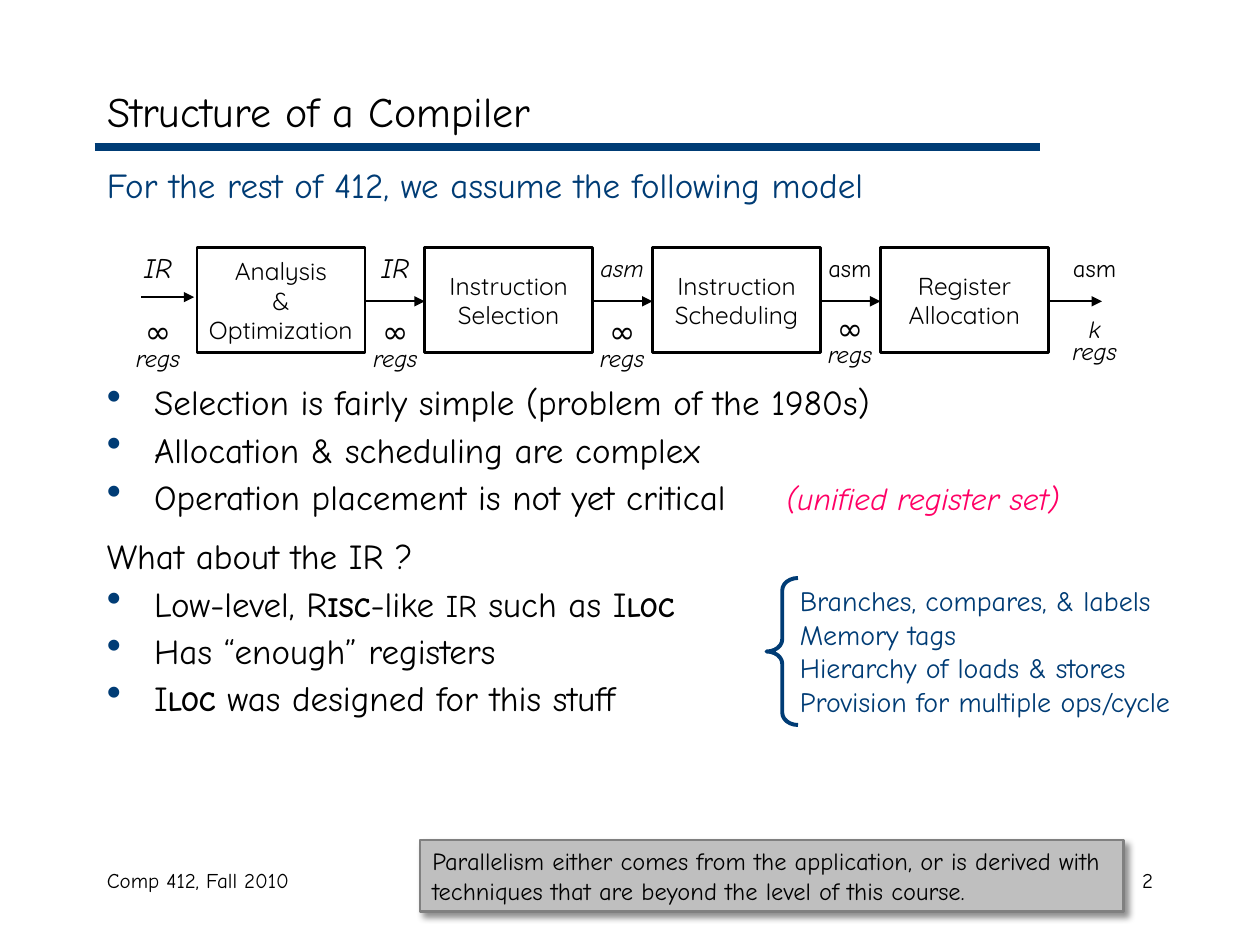
from dataclasses import dataclass

from lxml.etree import SubElement
from pptx import Presentation
from pptx.dml.color import RGBColor
from pptx.enum.shapes import MSO_CONNECTOR, MSO_SHAPE
from pptx.enum.text import MSO_ANCHOR, PP_ALIGN
from pptx.oxml.ns import qn
from pptx.util import Inches, Pt


@dataclass(frozen=True)
class Theme:
    font: str = "Comic Neue"
    label: str = "Quicksand"
    ink: str = "000000"
    navy: str = "003C75"
    pink: str = "FF0065"
    gray: str = "BFBFBF"
    edge: str = "808080"
    title: int = 24
    body: int = 20
    mid: int = 18
    side: int = 16
    small: int = 14
    foot: int = 12


T = Theme()


def cell(n):
    """Length of n grid cells: the slide is 120 columns by 90 rows."""
    return Inches(n / 12)


def rgb(code):
    return RGBColor.from_string(code)


def node(parent, tag, **attrs):
    return SubElement(parent, qn(tag), {k: str(v) for k, v in attrs.items()})


def text(para, words, size=T.body, color=T.ink, font=T.font, bold=False, italic=False):
    """Add one run of text to a paragraph."""
    run = para.add_run()
    run.text = words
    face = run.font
    face.size, face.name, face.bold, face.italic = Pt(size), font, bold, italic
    face.color.rgb = rgb(color)


class Page:
    def __init__(self, deck, theme):
        self.theme = theme
        self.slide = deck.slides.add_slide(deck.slide_layouts[5])
        self.shapes = self.slide.shapes

    def fill(self, frame, paras, align=PP_ALIGN.LEFT, space=None, **fmt):
        """Each paragraph is a string or a list of (words, format) runs."""
        for i, runs in enumerate(paras):
            para = frame.paragraphs[0] if i == 0 else frame.add_paragraph()
            para.alignment = align
            if space:
                para.line_spacing = space
            for words, own in [(runs, {})] if isinstance(runs, str) else runs:
                text(para, words, **{**fmt, **own})

    def title(self, x, y, w, h, words):
        box = self.shapes.title
        box.left, box.top, box.width, box.height = map(cell, (x, y, w, h))
        box.text_frame.vertical_anchor = MSO_ANCHOR.MIDDLE
        self.fill(box.text_frame, [words], size=self.theme.title)

    def box(self, x, y, w, h, paras, **fmt):
        frame = self.shapes.add_textbox(*map(cell, (x, y, w, h))).text_frame
        frame.word_wrap = True
        self.fill(frame, paras, **fmt)
        return frame

    def bullets(self, x, y, w, h, items):
        """Each item is (space before, has bullet, runs)."""
        frame = self.box(x, y, w, h, [runs for *_, runs in items])
        for para, (gap, mark, _) in zip(frame.paragraphs, items):
            if gap:
                para.space_before = Pt(gap)
            props = para._p.get_or_add_pPr()
            props.set("marL", str(cell(4.5)))
            props.set("indent", str(-cell(4.5)))
            if mark:
                node(node(props, "a:buClr"), "a:srgbClr", val=self.theme.navy)
                node(props, "a:buSzPct", val=120000)
                node(props, "a:buChar", char="•")
            else:
                node(props, "a:buNone")
            node(node(props, "a:tabLst"), "a:tab", pos=cell(64.7), algn="l")

    def shape(self, kind, x, y, w, h, line, width, fill=None):
        item = self.shapes.add_shape(kind, *map(cell, (x, y, w, h)))
        item.shadow.inherit = False
        item.line.color.rgb, item.line.width = rgb(line), Pt(width)
        if fill:
            item.fill.solid()
            item.fill.fore_color.rgb = rgb(fill)
        else:
            item.fill.background()
        return item

    def stage(self, x, y, w, h, lines):
        frame = self.shape(MSO_SHAPE.RECTANGLE, x, y, w, h, self.theme.ink, 1.5).text_frame
        frame.word_wrap = False
        frame.vertical_anchor = MSO_ANCHOR.MIDDLE
        self.fill(frame, lines, align=PP_ALIGN.CENTER, size=self.theme.small,
                  font=self.theme.label)

    def line(self, x, y, end, color, width, arrow=False):
        item = self.shapes.add_connector(MSO_CONNECTOR.STRAIGHT, *map(cell, (x, y, end, y)))
        item.line.color.rgb, item.line.width = rgb(color), Pt(width)
        if arrow:
            node(item.line._get_or_add_ln(), "a:tailEnd", type="triangle")
        node(item._element.spPr, "a:effectLst")

    def note(self, x, y, w, h, words):
        item = self.shape(MSO_SHAPE.RECTANGLE, x, y, w, h, self.theme.edge, 1.5, self.theme.gray)
        item.text_frame.word_wrap = True
        item.text_frame.vertical_anchor = MSO_ANCHOR.TOP
        self.fill(item.text_frame, [words], size=self.theme.small)
        effect = item._element.spPr.find(qn("a:effectLst"))
        shade = node(effect, "a:outerShdw", blurRad=Pt(4), dist=Pt(3), dir=45 * 60000,
                     algn="tl", rotWithShape=0)
        node(node(shade, "a:srgbClr", val=self.theme.ink), "a:alpha", val=43000)


def main():
    deck = Presentation()
    deck.slide_width, deck.slide_height = cell(120), cell(90)
    page = Page(deck, T)

    # Title, rule and footer
    page.line(9, 14, 99, T.navy, 4.5)
    page.title(9, 7, 102, 7, "Structure of a Compiler")
    page.box(9, 82, 38, 6, ["Comp 412, Fall 2010"], size=T.foot)
    page.box(86, 82, 25, 6, ["2"], align=PP_ALIGN.RIGHT, size=T.foot)

    # Main text; caps are smaller bold capitals
    caps = dict(size=T.side, bold=True)
    page.bullets(9, 15, 102, 64, [
        (0, False, [("For the rest of 412, we assume the following model", dict(color=T.navy))]),
        (100, True, "Selection is fairly simple (problem of the 1980s)"),
        (3, True, "Allocation & scheduling are complex"),
        (3, True, [("Operation placement is not yet critical\t", {}),
                   ("(unified register set)", dict(size=T.mid, color=T.pink, italic=True))]),
        (10, False, "What about the IR ?"),
        (3, True, [("Low-level, R", {}), ("ISC", caps), ("-like ", {}),
                   ("IR", dict(size=T.mid)), (" such as I", {}), ("LOC", caps)]),
        (3, True, "Has “enough” registers"),
        (3, True, [("I", {}), ("LOC", caps), (" was designed for this stuff", {})]),
    ])

    # Compiler stages and the arrows between them
    left, pitch, wide, top, high = 18.75, 21.7, 16, 23.6, 10
    names = [["Analysis", "&", "Optimization"], ["Instruction", "Selection"],
             ["Instruction", "Scheduling"], ["Register", "Allocation"]]
    page.line(13.45, 28.3, 18.5, T.ink, 1, arrow=True)
    for i, lines in enumerate(names):
        x = left + i * pitch
        page.stage(x, top, wide, high, lines)
        reach = pitch - wide if i < 3 else 5.1
        page.line(x + wide, 28.7, x + wide + reach, T.ink, 1, arrow=True)

    # Code form above each arrow, register count below
    flows = [
        (15.05, "IR", T.side, True, "∞", T.mid, True, 30),
        (37.65, "IR", T.side, True, "∞", T.mid, False, 30),
        (59.25, "asm", T.small, True, "∞", T.mid, True, 30),
        (80.95, "asm", T.small, False, "∞", T.mid, False, 29.65),
        (104.25, "asm", T.small, False, "k", T.small, True, 30),
    ]
    for mid, form, size, slant, count, big, lean, low in flows:
        page.box(mid - 4.3, 23.3 if form == "IR" else 23.5, 8.6, 4.2, [form],
                 align=PP_ALIGN.CENTER, size=size, italic=slant)
        page.box(mid - 4, low, 8, 6, [[(count, dict(size=big, italic=lean))], "regs"],
                 align=PP_ALIGN.CENTER, space=0.75, size=T.small, italic=True)

    # Braced list
    page.box(75, 55, 44, 14, ["Branches, compares, & labels", "Memory tags",
                              "Hierarchy of loads & stores",
                              "Provision for multiple ops/cycle"],
             size=T.side, color=T.navy)
    brace = page.shape(MSO_SHAPE.LEFT_BRACE, 73, 55.05, 3, 14, T.navy, 2.25)
    brace.adjustments[0], brace.adjustments[1] = 0.39, 0.5

    # Closing note
    page.note(40, 80, 67, 6.85, "Parallelism either comes from the application, or is derived "
              "with techniques that are beyond the level of this course.")
    deck.save("out.pptx")


if __name__ == "__main__":
    main()
